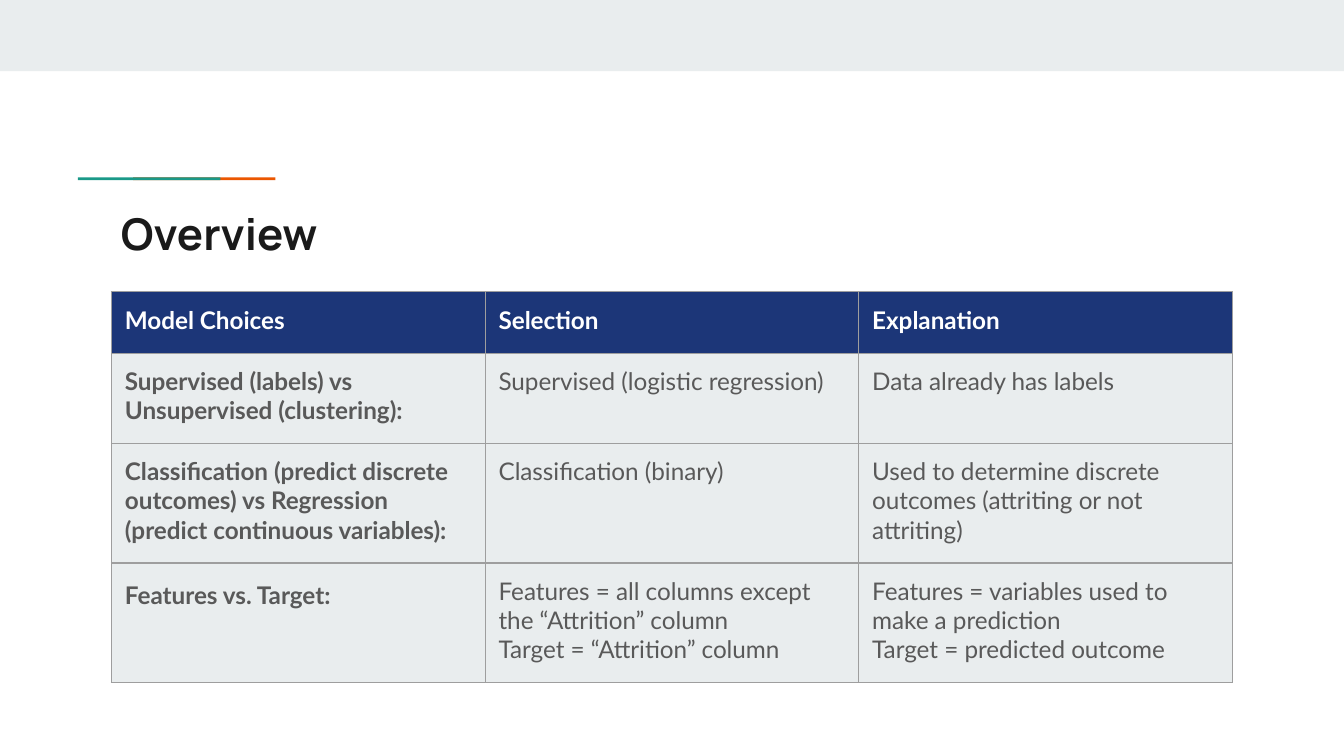
import pptx
import pptx.util
import pptx.dml.color
import pptx.enum.shapes
import pptx.enum.text
import pptx.oxml
import pptx.oxml.ns
from pptx.util import Inches

RGB = pptx.dml.color.RGBColor
PALE = RGB(0xE9, 0xED, 0xEE)
ORANGE = RGB(0xEB, 0x56, 0x00)
GREEN = RGB(0x1A, 0x99, 0x88)
BLACK = RGB(0x1A, 0x1A, 0x1A)
NAVY = RGB(0x1C, 0x36, 0x78)
GRAY = RGB(0x59, 0x59, 0x59)
LINE = RGB(0x9E, 0x9E, 0x9E)
WHITE = RGB(0xFF, 0xFF, 0xFF)

ROWS = [
    ["Model Choices", "Selection", "Explanation"],
    ["Supervised (labels) vs Unsupervised (clustering):",
     "Supervised (logistic regression)", "Data already has labels"],
    ["Classification (predict discrete outcomes) vs Regression "
     "(predict continuous variables):", "Classification (binary)",
     "Used to determine discrete outcomes (attriting or not attriting)"],
    ["Features vs. Target:",
     "Features = all columns except the “Attrition” column\n"
     "Target = “Attrition” column",
     "Features = variables used to make a prediction\n"
     "Target = predicted outcome"],
]
HEIGHTS = [0.46, 0.67, 0.89, 0.89]


class Deck:
    """Holds the style and the current slide."""

    head = {"name": "Manrope", "size": pptx.util.Pt(23.4), "bold": True}
    body = {"name": "Lato", "size": pptx.util.Pt(13)}
    inset = dict.fromkeys(
        ["margin_left", "margin_top", "margin_right", "margin_bottom"], Inches(0.1))

    def __init__(self, prs):
        self.slide = prs.slides.add_slide(prs.slide_layouts[5])

    def apply(self, item, values):
        for key, value in values.items():
            setattr(item, key, value)

    def style(self, para, font, color):
        self.apply(para.font, font)
        para.font.color.rgb = color

    def bar(self, box, color):
        shape = self.slide.shapes.add_shape(
            pptx.enum.shapes.MSO_SHAPE.RECTANGLE, *map(Inches, box))
        shape.shadow.inherit = False
        shape.fill.solid()
        shape.fill.fore_color.rgb = color
        shape.line.fill.background()

    def title(self, text, box):
        shape = self.slide.shapes.title
        places = zip(["left", "top", "width", "height"], map(Inches, box))
        self.apply(shape, dict(places))
        frame = shape.text_frame
        frame.text = text
        self.apply(frame, self.inset | {
            "word_wrap": True,
            "auto_size": pptx.enum.text.MSO_AUTO_SIZE.NONE,
            "vertical_anchor": pptx.enum.text.MSO_ANCHOR.TOP})
        para = frame.paragraphs[0]
        para.alignment = pptx.enum.text.PP_ALIGN.LEFT
        self.style(para, self.head, BLACK)

    def border(self, cell):
        props = cell._tc.get_or_add_tcPr()
        for spot, side in enumerate(["lnL", "lnR", "lnT", "lnB"]):
            props.insert(spot, pptx.oxml.parse_xml(
                f'<a:{side} {pptx.oxml.ns.nsdecls("a")} w="9525"><a:solidFill>'
                f'<a:srgbClr val="{LINE}"/></a:solidFill></a:{side}>'))

    def cell(self, cell, text, fill, color, bold):
        cell.text = text
        self.apply(cell, self.inset)
        cell.fill.solid()
        cell.fill.fore_color.rgb = fill
        for para in cell.text_frame.paragraphs:
            self.style(para, self.body | {"bold": bold}, color)
        self.border(cell)

    def table(self, rows, heights, left, top, width):
        count = len(rows[0])
        grid = self.slide.shapes.add_table(
            len(rows), count, Inches(left), Inches(top),
            Inches(width * count), Inches(sum(heights))).table
        for col in grid.columns:
            col.width = Inches(width)
        for r, texts in enumerate(rows):
            grid.rows[r].height = Inches(heights[r])
            fill, color = (PALE, GRAY) if r else (NAVY, WHITE)
            for c, text in enumerate(texts):
                self.cell(grid.cell(r, c), text, fill, color, r == 0 or c == 0)
        return grid


def main():
    prs = pptx.Presentation()
    prs.slide_width = Inches(10)
    prs.slide_height = prs.slide_width * 9 // 16
    deck = Deck(prs)
    deck.bar((0, 0, 10, 0.53), PALE)
    deck.bar((0.99, 1.32, 1.06, 0.02), ORANGE)
    deck.bar((0.58, 1.32, 1.06, 0.02), GREEN)
    deck.title("Overview", (0.8, 1.44, 8.41, 0.59))
    grid = deck.table(ROWS, HEIGHTS, 0.83, 2.17, 2.78)
    last = grid.cell(3, 0).text_frame.paragraphs[0]
    deck.apply(last, {"line_spacing": 1.15, "space_after": pptx.util.Pt(12)})
    prs.save("out.pptx")


if __name__ == "__main__":
    main()
